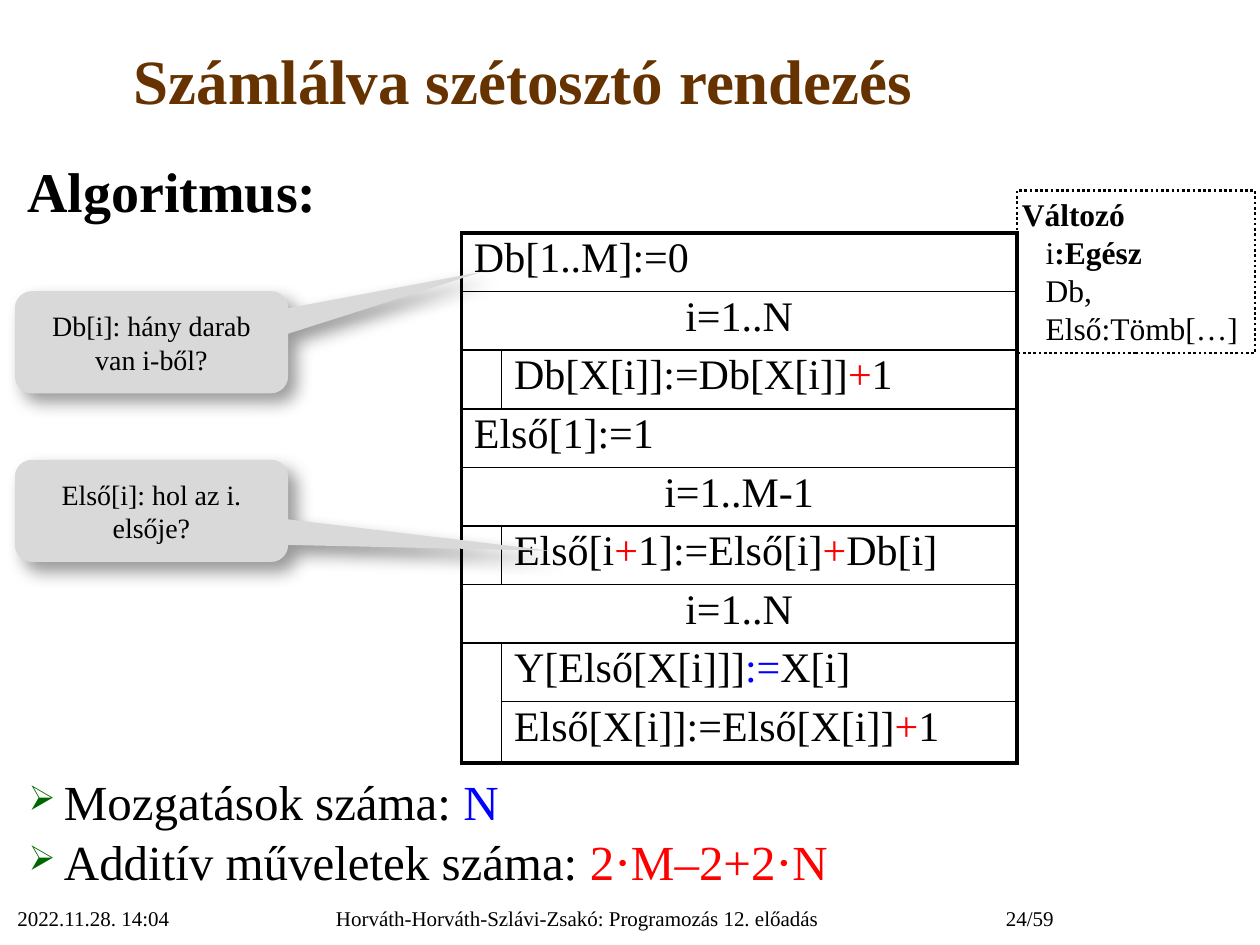
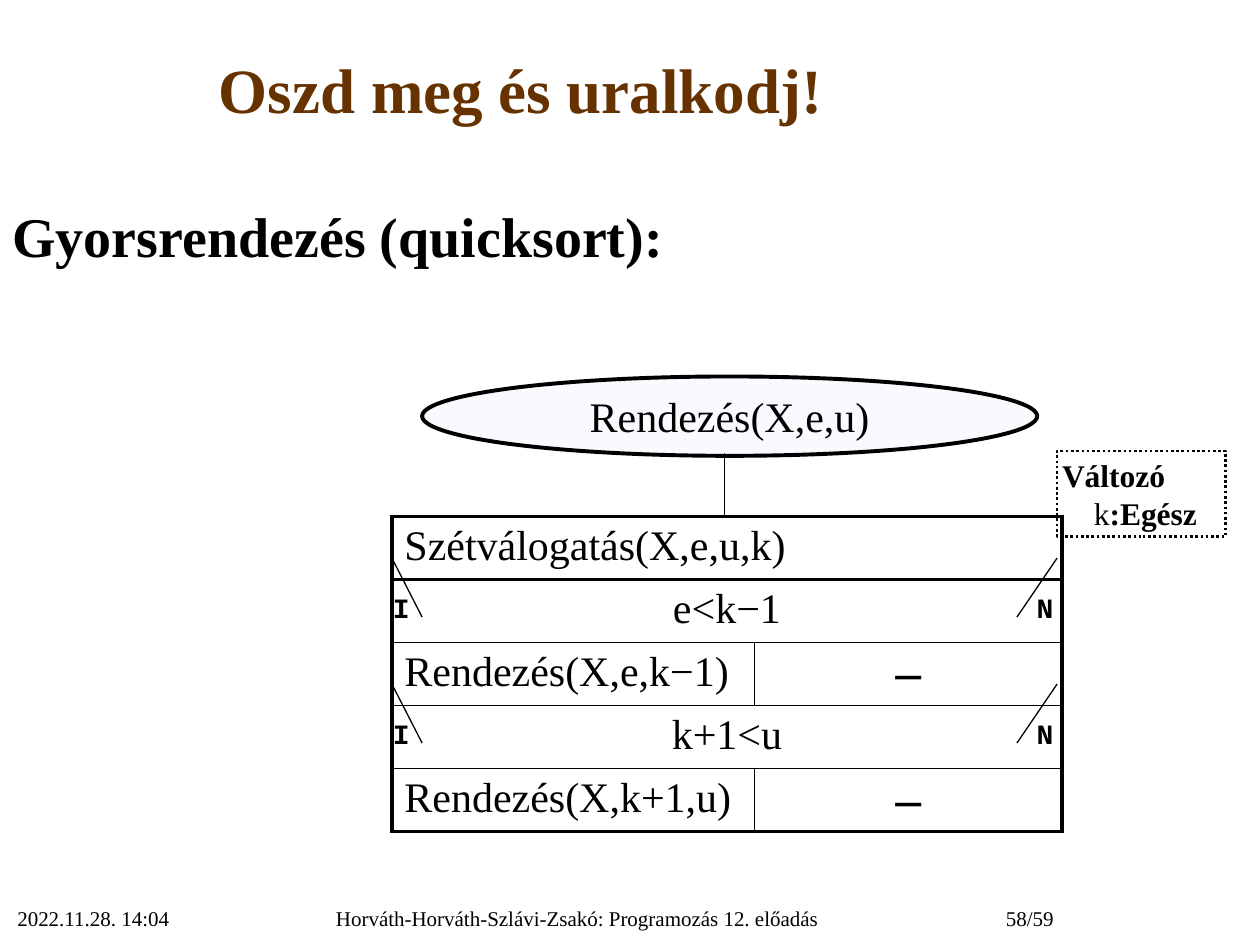
import dataclasses
import typing

import pptx
import pptx.dml.color
import pptx.enum.dml
import pptx.enum.shapes
import pptx.enum.text
import pptx.oxml
import pptx.oxml.ns
import pptx.util

Cm = pptx.util.Cm
Pt = pptx.util.Pt
SHAPE = pptx.enum.shapes.MSO_SHAPE
ALIGN = pptx.enum.text.PP_ALIGN
ANCHOR = pptx.enum.text.MSO_ANCHOR
A_NS = pptx.oxml.ns.nsdecls("a")


@dataclasses.dataclass(frozen=True)
class Theme:
    font: str = "Times New Roman"
    label_font: str = "Courier New"
    dash_font: str = "Roboto Slab"
    black: str = "000000"
    white: str = "FFFFFF"
    brown: str = "663300"
    red: str = "FF0000"
    blue: str = "0000FF"
    green: str = "006600"
    grey: str = "D9D9D9"
    lilac: str = "F3E8FE"
    title: int = 36
    heading: int = 32
    bullet: int = 28
    code: int = 24
    variable: int = 18
    note: int = 16
    footer: int = 12
    thick: float = 2.25
    dotted: float = 1.5
    thin: float = 1
    hair: float = 0.75


class Box(typing.NamedTuple):
    """A region in centimetres."""
    left: float
    top: float
    width: float
    height: float

    @property
    def right(self):
        return self.left + self.width

    def lengths(self):
        return [Cm(value) for value in self]


THEME = Theme()
FOOTER = Box(0.1, 18.14, 21.39, 0.95)
PLUS = ("+", {"color": THEME.red})


def rgb(color):
    return pptx.dml.color.RGBColor.from_string(color)


def add_xml(parent, xml):
    """Append one element, given without its namespace declaration."""
    tag_end = min(xml.index(mark) for mark in " />" if mark in xml)
    element = pptx.oxml.parse_xml(f"{xml[:tag_end]} {A_NS}{xml[tag_end:]}")
    parent.append(element)


def write(frame, text, size=THEME.code, color=THEME.black, bold=False, font=THEME.font,
          align=ALIGN.LEFT, spacing=None, before=0, indent=0, hanging=0, bullet=None):
    """Add one paragraph; text is a string or a list of strings and (string, changes) runs."""
    paragraph = frame.add_paragraph() if frame.text else frame.paragraphs[0]
    paragraph.alignment = align
    paragraph.space_before = Pt(before)
    if spacing:
        paragraph.line_spacing = spacing
    properties = paragraph._p.get_or_add_pPr()
    properties.set("marL", str(Cm(indent)))
    properties.set("indent", str(-Cm(hanging)))
    if bullet:
        add_xml(properties, f'<a:buClr><a:srgbClr val="{THEME.green}"/></a:buClr>')
        add_xml(properties, '<a:buSzPct val="70000"/>')
        add_xml(properties, f'<a:buChar char="{bullet}"/>')
    for part in [text] if isinstance(text, str) else text:
        words, changes = (part, {}) if isinstance(part, str) else part
        look = {"color": color, "bold": bold} | changes
        run = paragraph.add_run()
        run.text = words
        run.font.name = font
        run.font.size = Pt(size)
        run.font.bold = look["bold"]
        run.font.color.rgb = rgb(look["color"])


def add_text(slide, box, text=None, anchor=ANCHOR.TOP, **look):
    frame = slide.shapes.add_textbox(*box.lengths()).text_frame
    frame.word_wrap = True
    frame.vertical_anchor = anchor
    if text:
        write(frame, text, **look)
    return frame


def add_panel(slide, kind, box, fill=None, line=None):
    panel = slide.shapes.add_shape(kind, *box.lengths())
    panel.shadow.inherit = False
    if fill:
        panel.fill.solid()
        panel.fill.fore_color.rgb = rgb(fill)
    else:
        panel.fill.background()
    if line:
        panel.line.color.rgb = rgb(THEME.black)
        panel.line.width = Pt(line)
    else:
        panel.line.fill.background()
    panel.text_frame.word_wrap = True
    panel.text_frame.vertical_anchor = ANCHOR.MIDDLE
    return panel


def add_title(slide, box, text):
    add_text(slide, box, text, anchor=ANCHOR.MIDDLE, size=THEME.title,
             color=THEME.brown, bold=True, align=ALIGN.CENTER)


def add_heading(slide, box, text, **look):
    add_text(slide, box, text, size=THEME.heading, bold=True, before=2, **look)


def add_footer(slide, box, number):
    parts = (
        (0, 5.28, "2022.11.28. 14:04", ALIGN.LEFT),
        (5.28, 12.52, "Horváth-Horváth-Szlávi-Zsakó: Programozás 12. előadás", ALIGN.CENTER),
        (18.16, 3.23, f"{number}/59", ALIGN.RIGHT),
    )
    for offset, width, text, align in parts:
        place = Box(box.left + offset, box.top, width, box.height)
        add_text(slide, place, text, size=THEME.footer, align=align)


def add_variables(slide, box, declarations, indent):
    panel = add_panel(slide, SHAPE.RECTANGLE, box, line=THEME.dotted)
    panel.line.dash_style = pptx.enum.dml.MSO_LINE.ROUND_DOT
    frame = panel.text_frame
    frame.vertical_anchor = ANCHOR.TOP
    frame.margin_left = frame.margin_right = frame.margin_top = frame.margin_bottom = Cm(0.1)
    write(frame, "Változó", size=THEME.variable, bold=True)
    for declaration in declarations:
        write(frame, declaration, size=THEME.variable, indent=indent)


def add_callout(slide, box, text, tip):
    """Draw a note whose pointer ends at tip, in fractions of the box from its centre."""
    callout = add_panel(slide, SHAPE.ROUNDED_RECTANGULAR_CALLOUT, box, fill=THEME.grey)
    callout.adjustments[0], callout.adjustments[1] = tip
    effects = callout._element.spPr.find(pptx.oxml.ns.qn("a:effectLst"))
    add_xml(effects, f'<a:outerShdw blurRad="{Pt(10)}" dist="{Pt(7)}" dir="2700000">'
                     f'<a:srgbClr val="{THEME.black}"><a:alpha val="40000"/></a:srgbClr>'
                     '</a:outerShdw>')
    write(callout.text_frame, text, size=THEME.note, align=ALIGN.CENTER)


def add_line(slide, start, end):
    line = slide.shapes.add_connector(pptx.enum.shapes.MSO_CONNECTOR.STRAIGHT,
                                      *[Cm(value) for value in (*start, *end)])
    line.line.color.rgb = rgb(THEME.black)
    line.line.width = Pt(THEME.hair)
    add_xml(line._element.spPr, "<a:effectLst/>")


def border_cell(cell, edges):
    properties = cell._tc.get_or_add_tcPr()
    for side in "LRTB":
        if edges.get(side):
            add_xml(properties, f'<a:ln{side} w="{Pt(edges[side])}"><a:solidFill>'
                                f'<a:srgbClr val="{THEME.black}"/></a:solidFill></a:ln{side}>')


def add_structogram(slide, box, columns, heights, rows, stem_rows=0, fill=None, spacing=None):
    """Draw rows of (span, text, look) cells; stem rows lie above the thick frame."""
    grid = slide.shapes.add_table(len(rows), len(columns), *box.lengths()).table
    grid.first_row = grid.horz_banding = False
    style = grid._tbl.tblPr.find(pptx.oxml.ns.qn("a:tableStyleId"))
    style.text = "{2D5ABB26-0587-4C30-8999-92F81FD0307C}"
    for column, width in zip(grid.columns, columns):
        column.width = Cm(width)
    for row, height in zip(grid.rows, heights):
        row.height = Cm(height)

    last_row, last_column = len(rows) - 1, len(columns) - 1
    for r, cells in enumerate(rows):
        outer = THEME.thick if r >= stem_rows else None
        first = 0
        for span, text, look in cells:
            last = first + span - 1
            edges = {
                "L": outer if first == 0 else THEME.thin,
                "R": outer if last == last_column else THEME.thin,
                "T": text and (THEME.thick if r == stem_rows else THEME.thin),
                "B": THEME.thick if r == last_row else None,
            }
            cell = grid.cell(r, first)
            if span > 1:
                cell.merge(grid.cell(r, last))
            for c in range(first, last + 1):
                hidden = "" if c == first else "L" if c == last else "LR"
                border_cell(grid.cell(r, c), {s: w for s, w in edges.items() if s not in hidden})
                if fill:
                    grid.cell(r, c).fill.solid()
                    grid.cell(r, c).fill.fore_color.rgb = rgb(fill)
                else:
                    grid.cell(r, c).fill.background()
            if text:
                write(cell.text_frame, text, spacing=spacing, **look)
            first = last + 1


def add_branch_marks(slide, row):
    """Mark the true and false sides of a decision row."""
    start, end = row.top - 0.43, row.top + 0.76
    sides = (("I", row.left, row.left + 0.61, row.left - 0.23),
             ("N", row.right, row.right - 0.81, row.right - 0.66))
    for label, edge, inner, label_left in sides:
        add_line(slide, (edge, start), (inner, end))
        add_text(slide, Box(label_left, row.top + 0.1, 0.81, 0.76), label, size=THEME.note,
                 font=THEME.label_font, bold=True, before=2)


def build_counting_sort(slide):
    def step(*text):
        return [(2, text, {})]

    def loop(text):
        return [(2, text, {"align": ALIGN.CENTER})]

    def inner(*text):
        return [(1, None, {}), (1, text, {})]

    add_title(slide, Box(0.1, 0.05, 20.9, 3.1), "Számlálva szétosztó rendezés")
    rows = [
        step("Db[1..M]:=0"),
        loop("i=1..N"),
        inner("Db[X[i]]:=Db[X[i]]", PLUS, "1"),
        step("Első[1]:=1"),
        loop("i=1..M-1"),
        inner("Első[i", PLUS, "1]:=Első[i]", PLUS, "Db[i]"),
        loop("i=1..N"),
        inner("Y[Első[X[i]]]", (":=", {"color": THEME.blue}), "X[i]"),
        inner("Első[X[i]]:=Első[X[i]]", PLUS, "1"),
    ]
    add_structogram(slide, Box(9.3, 4.7, 11.2, 10.67), (0.81, 10.39), [1.18] * 8 + [1.24],
                    rows, fill=THEME.white, spacing=0.9)

    costs = add_text(slide, Box(0.3, 15.52, 24.61, 2.79))
    for label, count, color in (("Mozgatások száma: ", "N", THEME.blue),
                                ("Additív műveletek száma: ", "2⋅M–2+2⋅N", THEME.red)):
        write(costs, [label, (count, {"color": color})], size=THEME.bullet, spacing=0.95,
              before=2, indent=0.74, hanging=0.71, bullet="➢")
    add_heading(slide, Box(0.3, 3.12, 24.61, 2.18), "Algoritmus:", spacing=0.95)
    add_variables(slide, Box(20.5, 3.84, 4.8, 3.28),
                  (["i", (":Egész", {"bold": True})], "Db,", "Első:Tömb[…]"), indent=0.48)
    add_callout(slide, Box(0.3, 5.87, 5.51, 2.06), "Db[i]: hány darab van i-ből?",
                tip=(1.21, -0.69))
    add_callout(slide, Box(0.3, 9.27, 5.51, 2.06), "Első[i]: hol az i. elsője?",
                tip=(1.46, 0.39))
    add_footer(slide, FOOTER, 24)


def build_quicksort(slide):
    centred = {"align": ALIGN.CENTER}

    def branch(call):
        return [(2, call, {}), (1, "─", centred | {"font": THEME.dash_font})]

    add_title(slide, Box(0.1, 0.23, 20.8, 3.1), "Oszd meg és uralkodj!")
    add_heading(slide, Box(0, 3.94, 24.89, 1.63), "Gyorsrendezés (quicksort):")
    add_footer(slide, FOOTER, 58)

    row_height = 1.27
    rows = [
        [(1, None, {}), (2, None, {})],
        [(3, "Szétválogatás(X,e,u,k)", {})],
        [(3, "e<k−1", centred)],
        branch("Rendezés(X,e,k−1)"),
        [(3, "k+1<u", centred)],
        branch("Rendezés(X,k+1,u)"),
    ]
    body = Box(7.9, 9.14, 13.41, row_height * len(rows))
    add_structogram(slide, body, (6.7, 0.51, 6.2), [row_height] * len(rows), rows, stem_rows=1)

    procedure = add_panel(slide, SHAPE.OVAL, Box(8.51, 7.59, 12.4, 1.6),
                          fill=THEME.lilac, line=THEME.thick)
    tint = procedure._element.spPr.find(pptx.oxml.ns.qn("a:solidFill"))
    add_xml(tint[0], '<a:alpha val="30000"/>')
    procedure.text_frame.word_wrap = False
    write(procedure.text_frame, "Rendezés(X,e,u)", align=ALIGN.CENTER)

    for decision in (2, 4):
        add_branch_marks(slide, Box(body.left, body.top + decision * row_height,
                                    body.width, row_height))
    add_variables(slide, Box(21.31, 9.09, 3.4, 1.73),
                  (["k", (":Egész", {"bold": True})],), indent=0.64)


def main():
    deck = pptx.Presentation()
    deck.slide_width, deck.slide_height = Cm(25.4), Cm(19.05)
    for build in (build_counting_sort, build_quicksort):
        build(deck.slides.add_slide(deck.slide_layouts[6]))
    deck.save("out.pptx")


if __name__ == "__main__":
    main()
